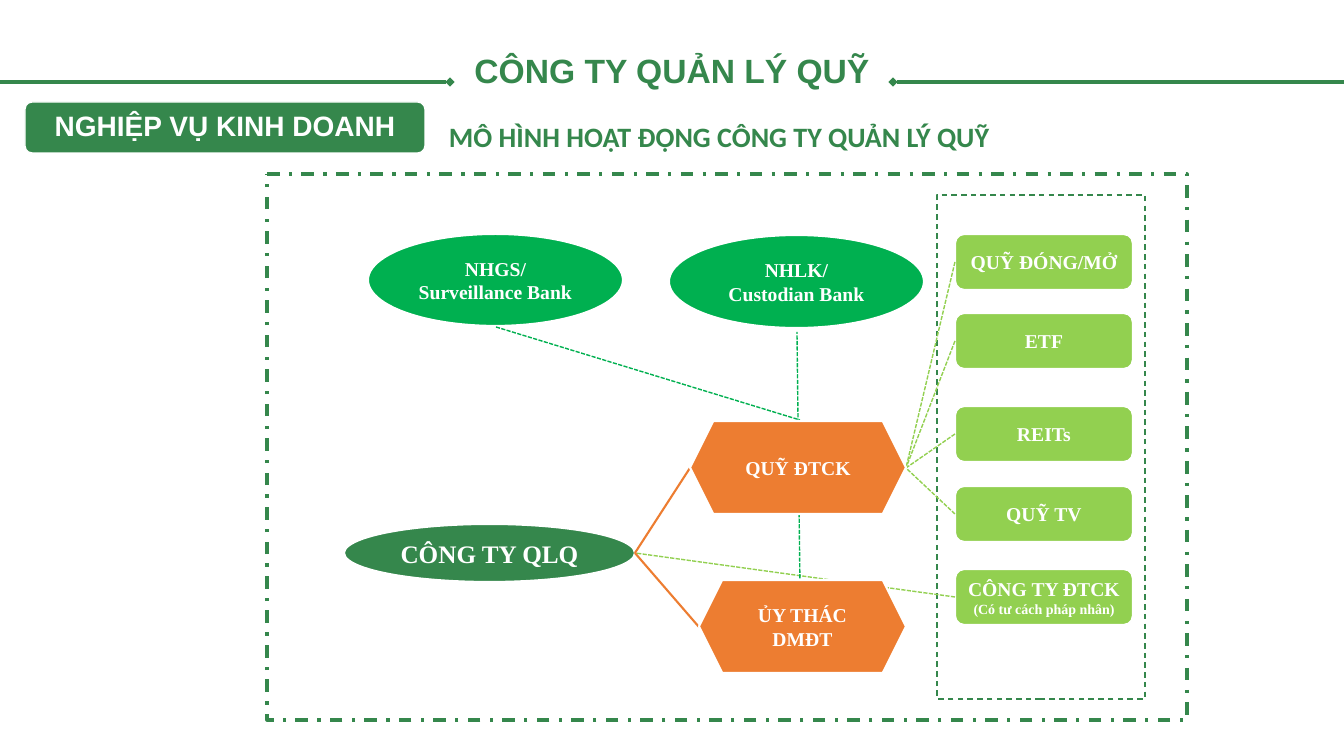
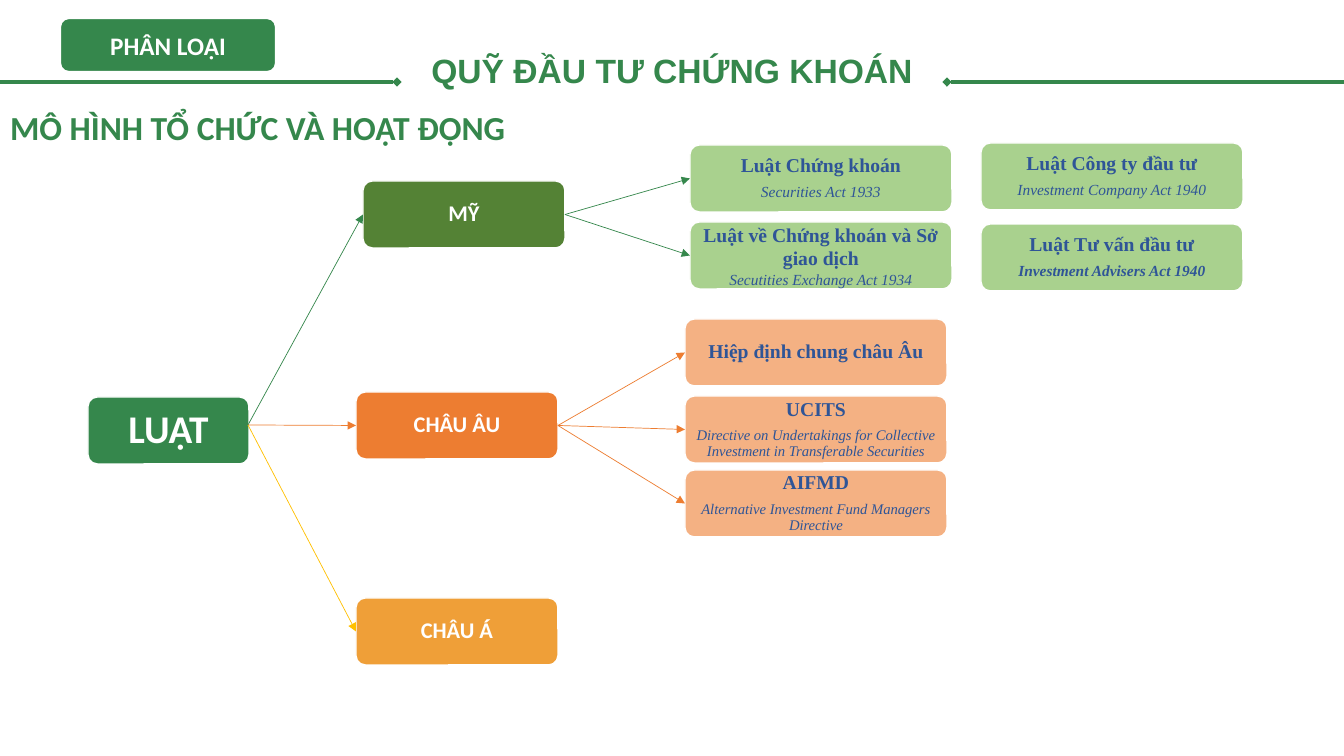
from collections import namedtuple

from lxml import etree
from pptx import Presentation
from pptx.dml.color import RGBColor
from pptx.enum.dml import MSO_LINE
from pptx.enum.shapes import MSO_CONNECTOR, MSO_SHAPE
from pptx.enum.text import MSO_ANCHOR, MSO_AUTO_SIZE, PP_ALIGN
from pptx.oxml.ns import qn
from pptx.util import Emu, Pt

EMU_PER_PX = 914400 / 100.8
SLIDE_W, SLIDE_H = 1344, 756
TOP, LEFT, BOTTOM, RIGHT = range(4)
SERIF = "Times New Roman"
COLORS = {
    "green": "35874C", "bank": "00B050", "lime": "92D050", "orange": "ED7D31",
    "olive": "548235", "sage": "A9D18E", "peach": "F4B183", "amber": "EF9F38",
    "gold": "FFC000", "navy": "2F5597", "white": "FFFFFF",
}
Line = namedtuple("Line", "text size bold italic", defaults=(True, False))


def px(n):
    """Turn px into EMU."""
    return Emu(round(n * EMU_PER_PX))


def rgb(name):
    """Look up a palette colour."""
    return RGBColor.from_string(COLORS[name])


def write(tf, lines, font, color, align=PP_ALIGN.CENTER, spacing=None, margin=(10, 5)):
    """Fill a text frame with one paragraph per line."""
    tf.word_wrap = True
    tf.auto_size = MSO_AUTO_SIZE.NONE
    tf.margin_left = tf.margin_right = px(margin[0])
    tf.margin_top = tf.margin_bottom = px(margin[1])
    for i, line in enumerate(lines):
        p = tf.add_paragraph() if i else tf.paragraphs[0]
        p.alignment = align
        if spacing:
            p.line_spacing = spacing
            if i < len(lines) - 1:
                p.space_after = Pt(round(line.size * 0.4, 1))
        r = p.add_run()
        r.text = line.text
        r.font.name, r.font.size = font, Pt(line.size)
        r.font.bold, r.font.italic = line.bold, line.italic
        r.font.color.rgb = rgb(color)


def shape(s, kind, box, fill=None, line="white", width=1.5, dash=None):
    """Add a flat preset shape."""
    sp = s.shapes.add_shape(kind, *map(px, box))
    sp.shadow.inherit = False
    if fill:
        sp.fill.solid()
        sp.fill.fore_color.rgb = rgb(fill)
    else:
        sp.fill.background()
    sp.line.color.rgb = rgb(line)
    sp.line.width = Pt(width)
    if dash:
        sp.line.dash_style = dash
    return sp


def node(s, kind, box, fill, lines, font=SERIF, color="white", width=1.5, **style):
    """Add a filled shape with centred text."""
    sp = shape(s, kind, box, fill, width=width)
    sp.text_frame.vertical_anchor = MSO_ANCHOR.MIDDLE
    write(sp.text_frame, lines, font, color, **style)
    return sp


def card(s, box, fill, lines, font="Calibri", color="white", spacing=0.9):
    """Add a rounded card with narrow margins."""
    sp = node(s, MSO_SHAPE.ROUNDED_RECTANGLE, box, fill, lines, font, color,
              width=1, spacing=spacing, margin=(3, 3))
    sp.adjustments[0] = 0.14
    return sp


def spot(end):
    """Give the EMU position of a px point or of a (shape, side) pair."""
    if isinstance(end[0], int):
        return px(end[0]), px(end[1])
    sp, side = end
    return (Emu(round(sp.left + sp.width * (0.5, 0, 0.5, 1)[side])),
            Emu(round(sp.top + sp.height * (0, 0.5, 1, 0.5)[side])))


def link(s, begin, end, color, width, dash=None, head=None, tail=None):
    """Draw a straight connector, joined where an end names a shape."""
    c = s.shapes.add_connector(MSO_CONNECTOR.STRAIGHT, *spot(begin), *spot(end))
    if not isinstance(begin[0], int):
        c.begin_connect(*begin)
    if not isinstance(end[0], int):
        c.end_connect(*end)
    c.line.color.rgb = rgb(color)
    c.line.width = Pt(width)
    if dash:
        c.line.dash_style = dash
    ln = c.line._get_or_add_ln()
    for tag, mark in (("a:headEnd", head), ("a:tailEnd", tail)):
        if mark:
            etree.SubElement(ln, qn(tag), type=mark)
    etree.SubElement(c._element.spPr, qn("a:effectLst"))


def start_slide(prs, title, left_end, right_start):
    """Add a slide with its centred title between two rules."""
    s = prs.slides.add_slide(prs.slide_layouts[5])
    link(s, (right_start, 82), (SLIDE_W, 82), "green", 2.25, head="diamond")
    link(s, (0, 82), (left_end, 82), "green", 2.25, tail="diamond")
    sp = s.shapes.title
    sp.left, sp.top, sp.width, sp.height = map(px, (25, 55, 1294, 36))
    write(sp.text_frame, [Line(title, 24)], "Arial", "green", spacing=0.9, margin=(0, 0))
    return s


def heading(s, box, text, size):
    """Add a left-aligned green heading."""
    tb = s.shapes.add_textbox(*map(px, box))
    write(tb.text_frame, [Line(text, size)], "Calibri", "green", PP_ALIGN.LEFT)


def company_slide(prs):
    """Build the operating model of the fund manager."""
    s = start_slide(prs, "CÔNG TY QUẢN LÝ QUỸ", 450, 893)
    heading(s, (439, 114, 576, 44), "MÔ HÌNH HOẠT ĐỘNG CÔNG TY QUẢN LÝ QUỸ", 20)
    card(s, (25, 102, 400, 51), "green", [Line("NGHIỆP VỤ KINH DOANH", 20)], "Arial")
    shape(s, MSO_SHAPE.FLOWCHART_PROCESS, (267, 174, 920, 546), line="green",
          width=2.25, dash=MSO_LINE.DASH_DOT)
    shape(s, MSO_SHAPE.RECTANGLE, (937, 195, 208, 504), line="green",
          width=1, dash=MSO_LINE.DASH)

    node(s, MSO_SHAPE.OVAL, (344, 524, 291, 58), "green", [Line("CÔNG TY QLQ", 18)])
    node(s, MSO_SHAPE.OVAL, (368, 234, 255, 92), "bank",
         [Line("NHGS/ Surveillance Bank", 14)])
    node(s, MSO_SHAPE.OVAL, (669, 235, 255, 93), "bank",
         [Line("NHLK/", 14), Line("Custodian Bank", 14)])
    manager, fund_left, fund_right = (635, 553), (690, 468), (906, 468)
    funds = (
        (234, fund_right, [Line("QUỸ ĐÓNG/MỞ", 14)]),
        (313, fund_right, [Line("ETF", 14)]),
        (406, fund_right, [Line("REITs", 14)]),
        (486, fund_right, [Line("QUỸ TV", 14)]),
        (569, manager, [Line("CÔNG TY ĐTCK", 14), Line("(Có tư cách pháp nhân)", 10)]),
    )
    for y, source, lines in funds:
        fund = node(s, MSO_SHAPE.ROUNDED_RECTANGLE, (955, y, 178, 56), "lime", lines,
                    margin=(5, 5))
        link(s, (fund, LEFT), source, "lime", 1, MSO_LINE.SQUARE_DOT)
    for begin, end in (((496, 327), (800, 420)), ((800, 584), (797, 332))):
        link(s, begin, end, "bank", 1, MSO_LINE.SQUARE_DOT)
    for target in (fund_left, (699, 627)):
        link(s, target, manager, "orange", 1.5)
    for box, text in (((690, 421, 216, 93), "QUỸ ĐTCK"),
                      ((699, 580, 207, 93), "ỦY THÁC DMĐT")):
        node(s, MSO_SHAPE.HEXAGON, box, "orange", [Line(text, 14)])


def law_slide(prs):
    """Build the tree of securities fund laws by region."""
    s = start_slide(prs, "QUỸ ĐẦU TƯ CHỨNG KHOÁN", 397, 947)
    heading(s, (0, 102, 518, 50), "MÔ HÌNH TỔ CHỨC VÀ HOẠT ĐỘNG", 24)
    node(s, MSO_SHAPE.ROUNDED_RECTANGLE, (60, 18, 216, 54), "green",
         [Line("PHÂN LOẠI", 18)], "Calibri")
    card(s, (88, 397, 161, 67), "green", [Line("LUẬT", 28)])

    regions = (
        ("MỸ", (363, 181), "olive", "green", "sage", (
            (690, 145, True, 0.9, [Line("Luật Chứng khoán", 14),
                                   Line("Securities Act 1933", 11, False, True)]),
            (690, 222, True, None, [Line("Luật về Chứng khoán và Sở giao dịch", 14),
                                    Line("Secutities Exchange Act 1934", 11, False, True)]),
            (981, 143, False, 0.9, [Line("Luật Công ty đầu tư", 14),
                                    Line("Investment Company Act 1940", 11, False, True)]),
            (981, 224, False, 0.9, [Line("Luật Tư vấn đầu tư", 14),
                                    Line("Investment Advisers Act 1940", 11, True, True)]),
        )),
        ("CHÂU ÂU", (356, 392), "orange", "orange", "peach", (
            (685, 319, True, 0.9, [Line("Hiệp định chung châu Âu", 14)]),
            (685, 396, True, 0.9, [
                Line("UCITS", 14),
                Line("Directive on Undertakings for Collective Investment in "
                     "Transferable Securities", 10.5, False, True)]),
            (685, 470, True, 0.9, [
                Line("AIFMD", 14),
                Line("Alternative Investment Fund Managers Directive",
                     10.5, False, True)]),
        )),
        ("CHÂU Á", (356, 598), "amber", "gold", None, ()),
    )
    for name, corner, fill, arrow, law_fill, laws in regions:
        region = card(s, (*corner, 202, 67), fill, [Line(name, 16)])
        link(s, (248, 425), (region, LEFT), arrow, 0.5, tail="triangle")
        for x, y, linked, spacing, lines in laws:
            law = card(s, (x, y, 262, 67), law_fill, lines, SERIF, "navy", spacing)
            if linked:
                link(s, (region, RIGHT), (law, LEFT), arrow, 0.5, tail="triangle")


def main():
    """Build and save the presentation."""
    prs = Presentation()
    prs.slide_width, prs.slide_height = px(SLIDE_W), px(SLIDE_H)
    company_slide(prs)
    law_slide(prs)
    prs.save("out.pptx")


if __name__ == "__main__":
    main()
